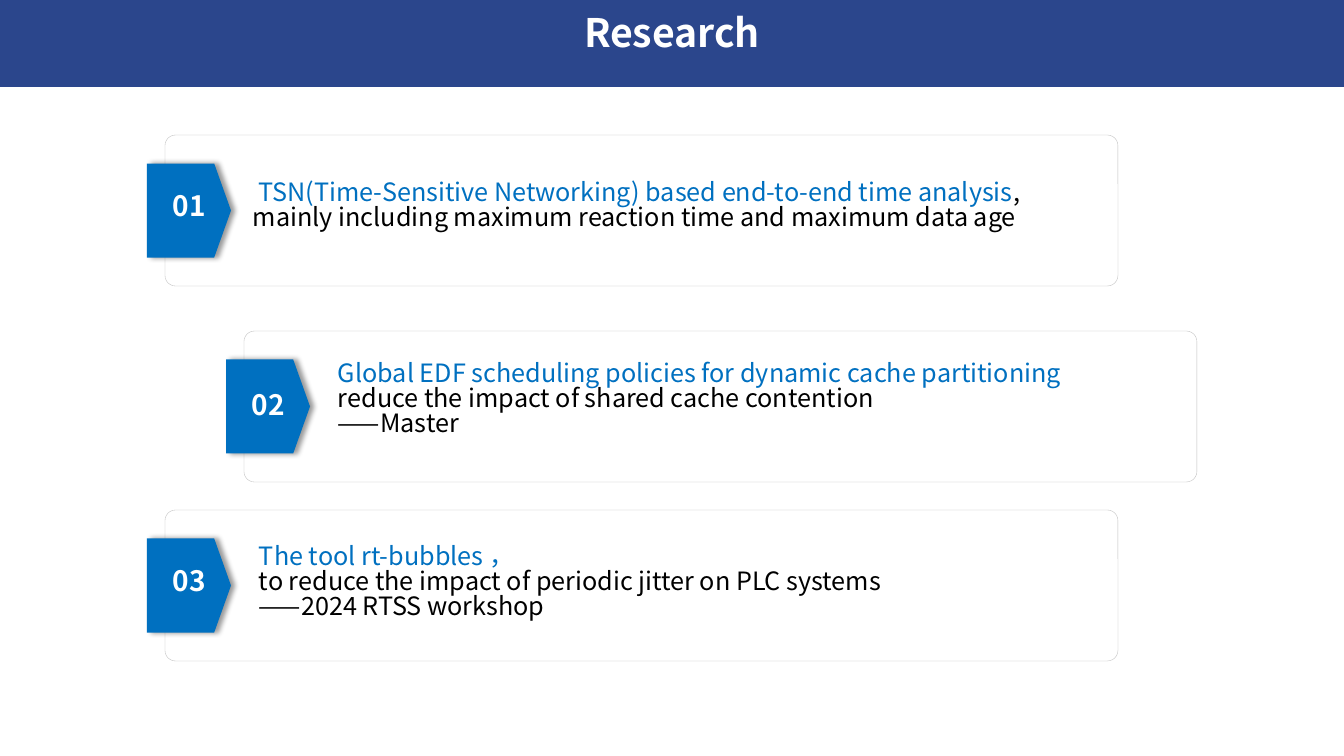
from pptx import Presentation
from pptx.dml.color import RGBColor
from pptx.enum.shapes import MSO_SHAPE as Shape
from pptx.enum.text import PP_ALIGN as Align
from pptx.oxml import parse_xml
from pptx.oxml.ns import qn, nsdecls
from pptx.util import Pt
from lxml.etree import SubElement

PX = 914400 / 100.8
FONT = "Noto Sans CJK SC"
NAVY, BLUE, WHITE, BLACK, GREY = "2B468C", "0070C0", "FFFFFF", "000000", "BFBFBF"
CARD_W, CARD_H = 953, 151
TAG_W, TAG_H = 94, 84

# Text styles
TITLE = {"size": Pt(28), "bold": True}
LABEL = {"size": Pt(20), "bold": True}
BODY = {"size": Pt(18), "bold": False}

# Card left and top, number drop, body shift and drop, body lines
CARDS = [
    (165, 135, 53, 78, 41, [
        [(" ", BLACK),
         ("TSN(Time-Sensitive Networking) based end-to-end time analysis", BLUE),
         (",", BLACK)],
        [("mainly including maximum reaction time and maximum data age", BLACK)]]),
    (244, 331, 56, 84, 26, [
        [("Global EDF scheduling policies for dynamic cache partitioning", BLUE)],
        [("reduce the impact of shared cache contention", BLACK)],
        [("——Master", BLACK)]]),
    (165, 510, 53, 84, 30, [
        [("The tool rt-bubbles ，", BLUE)],
        [("to reduce the impact of periodic jitter on PLC systems", BLACK)],
        [("——2024 RTSS workshop", BLACK)]]),
]


def px(num):
    return round(num * PX)


def color(code):
    return RGBColor.from_string(code)


def add_box(slide, kind, area, fill, line=None):
    box = slide.shapes.add_shape(kind, *map(px, area))
    box.shadow.inherit = False
    box.fill.solid()
    box.fill.fore_color.rgb = color(fill)
    if line:
        box.line.color.rgb = color(line)
        box.line.width = Pt(0.25)
    else:
        box.line.fill.background()
    return box


def add_text(slide, area, lines, style, align, gap, side=10):
    frame = slide.shapes.add_textbox(*map(px, area)).text_frame
    frame.word_wrap = True
    frame.margin_left = frame.margin_right = px(side)
    frame.margin_top = frame.margin_bottom = px(5)
    for num, line in enumerate(lines):
        para = frame.add_paragraph() if num else frame.paragraphs[0]
        para.alignment = align
        para.line_spacing = gap
        for text, ink in line:
            run = para.add_run()
            run.text = text
            for key, value in style.items():
                setattr(run.font, key, value)
            run.font.color.rgb = color(ink)
            run.font.name = FONT
            SubElement(run.font._element, qn("a:ea")).set("typeface", FONT)


def add_tag(slide, left, top):
    tag = add_box(slide, Shape.FLOWCHART_OFFPAGE_CONNECTOR,
                  (left, top, TAG_W, TAG_H), BLUE)
    tag.rotation = 270
    # Soft shadow to the right
    effect = tag._element.spPr.find(qn("a:effectLst"))
    effect.append(parse_xml(
        f'<a:outerShdw {nsdecls("a")} blurRad="{Pt(4)}" dist="{Pt(3)}" dir="0" '
        'algn="l" rotWithShape="0"><a:srgbClr val="000000">'
        '<a:alpha val="40000"/></a:srgbClr></a:outerShdw>'))


def add_card(slide, num, left, top, drop, shift, fall, lines):
    card = add_box(slide, Shape.ROUNDED_RECTANGLE,
                   (left, top, CARD_W, CARD_H), WHITE, GREY)
    card.adjustments[0] = 0.07
    add_tag(slide, left + 24 - TAG_W / 2, top + (CARD_H - TAG_H) / 2)
    add_text(slide, (left - 12, top + drop, 73, 44),
             [[(f"{num:02}", WHITE)]], LABEL, Align.CENTER, 0.87)
    add_text(slide, (left + shift, top + fall, 859, 11 + 30 * len(lines)),
             lines, BODY, Align.JUSTIFY, 0.83)


def main():
    deck = Presentation()
    deck.slide_width, deck.slide_height = px(1344), px(756)
    slide = deck.slides.add_slide(deck.slide_layouts[6])

    # Title band
    add_box(slide, Shape.RECTANGLE, (0, 0, 1344, 87), NAVY)
    add_text(slide, (130, 9, 1084, 58), [[("Research", WHITE)]],
             TITLE, Align.CENTER, 0.9, 0)

    # Research cards
    for num, card in enumerate(CARDS, 1):
        add_card(slide, num, *card)

    deck.save("out.pptx")


if __name__ == "__main__":
    main()
